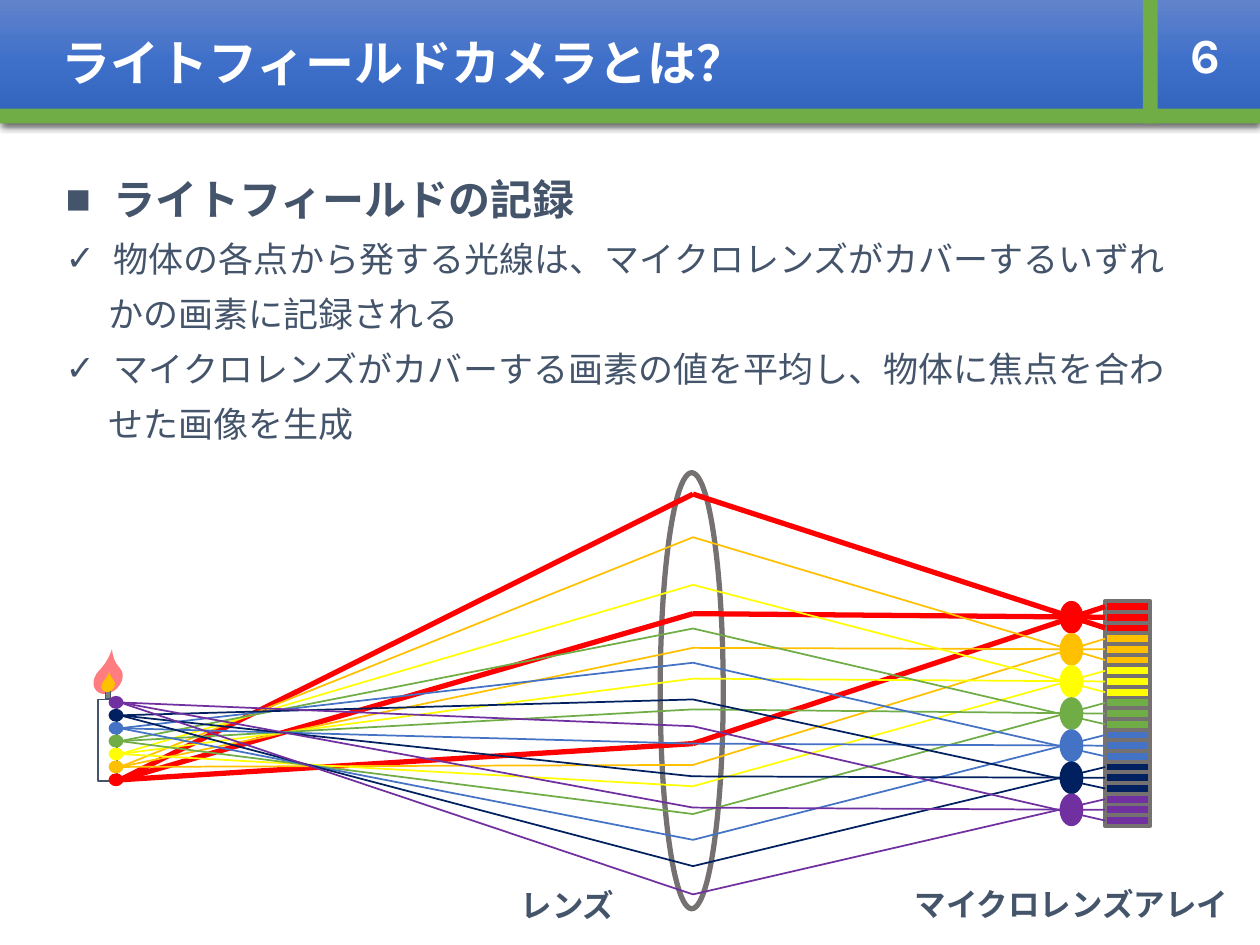
from copy import deepcopy

from lxml import etree
from pptx import Presentation
from pptx import util as u
from pptx.dml.color import RGBColor
from pptx.enum import shapes, text
from pptx.oxml import ns

Cm, Pt = u.Cm, u.Pt
KIND = shapes.MSO_SHAPE
ALIGN = text.PP_ALIGN
SLATE, GREY, WHITE, GREEN = "44546A", "767171", "FFFFFF", "70AD47"


def draw(kind, left, top, width, height, fill=None, line=None, weight=1):
    """Add a preset shape, measured in cm, with optional fill and outline."""
    shape = page.shapes.add_shape(kind, Cm(left), Cm(top), Cm(width), Cm(height))
    shape.shadow.inherit = False
    if fill:
        shape.fill.solid()
        shape.fill.fore_color.rgb = RGBColor.from_string(fill)
    else:
        shape.fill.background()
    if line:
        shape.line.color.rgb = RGBColor.from_string(line)
        shape.line.width = Pt(weight)
    else:
        shape.line.fill.background()
    return shape


def write(para, words, size, colour, bold=True, **layout):
    """Put words in a paragraph with its font and paragraph settings."""
    span = para.add_run()
    span.text = words
    font = {"name": "Karla", "size": Pt(size), "bold": bold}
    for target, values in ((span.font, font), (para, layout)):
        for name, value in values.items():
            setattr(target, name, value)
    span.font.color.rgb = RGBColor.from_string(colour)


deck = Presentation()
deck.slide_width, deck.slide_height = Cm(25.4), Cm(19.05)
page = deck.slides.add_slide(deck.slide_layouts[1])
title, body = page.placeholders

# Title bar with gradient and shadow
bar = {"left": 0, "top": 0, "width": Cm(25.4), "height": Cm(2.49)}
for name, value in bar.items():
    setattr(title, name, value)
title.fill.gradient()
title.fill.gradient_angle = 270
stops = title._element.spPr.find(ns.qn("a:gradFill")).find(ns.qn("a:gsLst"))
stops.insert(1, deepcopy(stops[0]))
shades = [(0, "6183CB"), (0.5, "3E70CA"), (1, "3062BB")]
for stop, (position, shade) in zip(title.fill.gradient_stops, shades):
    stop.position = position
    stop.color.rgb = RGBColor.from_string(shade)
effects = etree.SubElement(title._element.spPr, ns.qn("a:effectLst"))
shadow = etree.SubElement(effects, ns.qn("a:outerShdw"), blurRad=str(Pt(4.5)),
                          dist=str(Pt(1.5)), dir="5400000", rotWithShape="0")
black = etree.SubElement(shadow, ns.qn("a:srgbClr"), val="000000")
etree.SubElement(black, ns.qn("a:alpha"), val="63000")

frame = title.text_frame
heading_format = {"margin_left": Cm(1.24), "auto_size": text.MSO_AUTO_SIZE.NONE,
                  "vertical_anchor": text.MSO_ANCHOR.MIDDLE}
for name, value in heading_format.items():
    setattr(frame, name, value)
write(frame.paragraphs[0], "ライトフィールドカメラとは？", 28, WHITE, alignment=ALIGN.LEFT)
draw(KIND.RECTANGLE, 0, 2.19, 25.4, 0.3, GREEN)
draw(KIND.RECTANGLE, 23.04, 0, 0.3, 2.49, GREEN)

# Bulleted list
area = {"left": Cm(1.07), "top": Cm(3.48), "width": Cm(23.24), "height": Cm(5.92)}
for name, value in area.items():
    setattr(body, name, value)
body.text_frame.auto_size = text.MSO_AUTO_SIZE.NONE
points = [
    ("■", "ライトフィールドの記録", 24, True, 0.9),
    ("✓", "物体の各点から発する光線は、マイクロレンズがカバーするいずれ", 20, False, 1.0),
    (None, "かの画素に記録される", 20, False, 1.0),
    ("✓", "マイクロレンズがカバーする画素の値を平均し、物体に焦点を合わ", 20, False, 1.0),
    (None, "せた画像を生成", 20, False, 1.0),
]
for index, (bullet, words, size, bold, spacing) in enumerate(points):
    para = body.text_frame.add_paragraph() if index else body.text_frame.paragraphs[0]
    write(para, words, size, SLATE, bold, line_spacing=spacing, space_before=Pt(7.5))
    props = para._p.get_or_add_pPr()
    props.set("marL", str(Cm(0.97 if bullet else 0.86)))
    props.set("indent", str(Cm(-0.97 if bullet else 0)))
    if bullet:
        etree.SubElement(props, ns.qn("a:buChar"), char=bullet)
    else:
        etree.SubElement(props, ns.qn("a:buNone"))

# Candle and main lens
draw(KIND.RECTANGLE, 1.98, 14.1, 0.38, 1.65, WHITE, SLATE)
flame = draw(KIND.TEAR, 1.85, 13.44, 0.66, 0.51, "FF7C80")
draw(KIND.RECTANGLE, 2.13, 13.94, 0.1, 0.15, "808080", SLATE)
core = draw(KIND.TEAR, 2.03, 13.69, 0.3, 0.25, "FFC000")
for drop in (flame, core):
    drop.rotation = 315
    drop.adjustments[0] = 1.476
draw(KIND.OVAL, 13.31, 9.53, 1.27, 8.79, None, GREY, 3)

# Each colour: heights where its three rays cross the lens
rays = [
    ("FF0000", (9.96, 12.37, 14.99)),
    ("FFC000", (10.83, 13.06, 15.42)),
    ("FFFF00", (11.79, 13.68, 15.85)),
    (GREEN, (12.67, 14.3, 16.41)),
    ("4472C4", (13.36, 14.99, 16.93)),
    ("002060", (14.1, 15.65, 17.46)),
    ("7030A0", (14.64, 16.28, 18.03)),
]
LENS_X, SENSOR_X, SENSOR_TOP = 13.97, 22.28, 12.12
PIXEL = 4.53 / (3 * len(rays))

for row, (colour, _) in enumerate(rays):
    for pixel in range(3):
        top = SENSOR_TOP + (3 * row + pixel) * PIXEL
        draw(KIND.RECTANGLE, SENSOR_X, top, 0.91, PIXEL, colour, GREY, 2.25)

for row, (colour, crossings) in enumerate(rays):
    source_y = 15.72 - 0.26 * row
    for order, lens_y in enumerate(crossings):
        pixel_y = SENSOR_TOP + (3 * row + 2.5 - order) * PIXEL
        stops = [(2.42, source_y), (LENS_X, lens_y), (SENSOR_X, pixel_y)]
        for start, end in zip(stops, stops[1:]):
            ray = page.shapes.add_connector(shapes.MSO_CONNECTOR.STRAIGHT,
                                            *map(Cm, start + end))
            ray.line.color.rgb = RGBColor.from_string(colour)
            ray.line.width = Pt(1 if row else 3)
            etree.SubElement(ray._element.spPr, ns.qn("a:effectLst"))
    draw(KIND.OVAL, 2.19, source_y - 0.13, 0.3, 0.26, colour)
    microlens_y = SENSOR_TOP + (3 * row + 1.5) * PIXEL
    draw(KIND.OVAL, 21.36, microlens_y - 0.33, 0.48, 0.66, colour)

# Page number and labels
captions = [
    ("6", 23.19, 0, 2.21, 2.18, 28, WHITE, {}),
    ("レンズ", 7.39, 17.83, 8.1, 1.24, 18, SLATE,
     {"line_spacing": 0.9, "space_before": Pt(7.5)}),
    ("マイクロレンズアレイ", 17.55, 17.81, 8.1, 1.24, 18, SLATE,
     {"line_spacing": 0.9, "space_before": Pt(7.5)}),
]
for words, left, top, width, height, size, colour, layout in captions:
    box = page.shapes.add_textbox(Cm(left), Cm(top), Cm(width), Cm(height))
    box.text_frame.word_wrap = True
    if not layout:
        box.text_frame.vertical_anchor = text.MSO_ANCHOR.MIDDLE
    write(box.text_frame.paragraphs[0], words, size, colour,
          alignment=ALIGN.CENTER, **layout)

deck.save("out.pptx")
